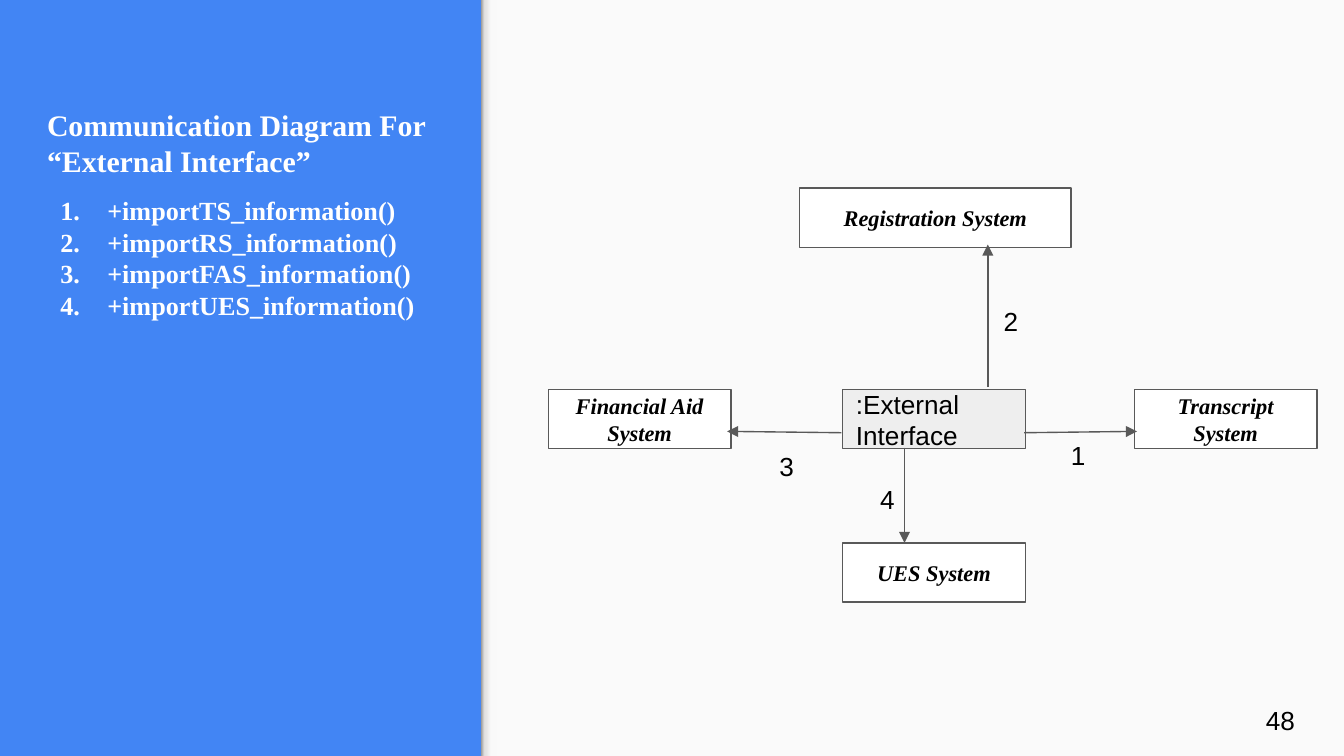
from typing import NamedTuple

from lxml.etree import SubElement
from pptx import Presentation
from pptx.dml.color import RGBColor
from pptx.enum.shapes import MSO_CONNECTOR, MSO_SHAPE
from pptx.enum.text import MSO_ANCHOR, MSO_AUTO_SIZE, PP_ALIGN
from pptx.oxml.ns import qn
from pptx.util import Inches, Pt

BLUE = RGBColor(0x42, 0x85, 0xF4)
PANEL = RGBColor(0xFA, 0xFA, 0xFA)
WHITE = RGBColor(0xFF, 0xFF, 0xFF)
BLACK = RGBColor(0x00, 0x00, 0x00)
LIGHT_GREY = RGBColor(0xEE, 0xEE, 0xEE)
DARK_GREY = RGBColor(0x59, 0x59, 0x59)
EDGE_STOPS = ((0, "999999"), (20, "DEDEDE"), (64, "F9F9F9"), (100, "F9F9F9"))

SERIF, SANS = "Times New Roman", "Arial"

# The grid has 100 columns across the slide and square cells.
COLUMNS, ROWS = 100, 56.25
CELL = Inches(10) / COLUMNS
PANEL_LEFT = 35.8
BOX_WIDTH, BOX_HEIGHT = 13.6, 4.4
MIDDLE_ROW = 29
CENTRE_COLUMN = 62.7


class Area(NamedTuple):
    column: float
    row: float
    width: float
    height: float


class Style(NamedTuple):
    font: str
    size: float
    color: RGBColor = BLACK
    bold: bool = False
    italic: bool = False


class System(NamedTuple):
    name: str
    column: float
    row: float
    width: float = BOX_WIDTH


class Message(NamedTuple):
    number: str
    start: tuple[float, float]
    end: tuple[float, float]
    label: tuple[float, float]


TITLE_STYLE = Style(SERIF, 16, WHITE, bold=True)
LIST_STYLE = Style(SERIF, 14, WHITE, bold=True)
SYSTEM_STYLE = Style(SERIF, 12, bold=True, italic=True)
PLAIN_STYLE = Style(SANS, 14)

OPERATIONS = (
    "+importTS_information()",
    "+importRS_information()",
    "+importFAS_information()",
    "+importUES_information()",
)
SYSTEMS = (
    System("UES System", CENTRE_COLUMN, 40.4),
    System("Transcript System", 84.4, MIDDLE_ROW),
    System("Registration System", 59.5, 14, 20.2),
    System("Financial Aid System", 40.8, MIDDLE_ROW),
)
MESSAGES = (
    Message("1", (76.2, 32.2), (84.6, 32.1), (78.7, 31.7)),
    Message("2", (73.5, 28.8), (73.5, 18.2), (73.7, 21.7)),
    Message("3", (62.6, 32.2), (54.1, 32.1), (57, 32.5)),
    Message("4", (67.3, 33.3), (67.3, 40.4), (64.5, 35)),
)


def grid(*cells: float) -> list[int]:
    return [round(cell * CELL) for cell in cells]


def prepare_frame(shape, anchor=MSO_ANCHOR.TOP):
    frame = shape.text_frame
    frame.word_wrap = True
    frame.auto_size = MSO_AUTO_SIZE.NONE
    frame.vertical_anchor = anchor
    frame.margin_left = frame.margin_right = Inches(0.1)
    frame.margin_top = frame.margin_bottom = Inches(0.1)
    return frame


def add_run(paragraph, text: str, style: Style, align=PP_ALIGN.LEFT) -> None:
    paragraph.alignment = align
    run = paragraph.add_run()
    run.text = text
    font = run.font
    font.name, font.size = style.font, Pt(style.size)
    font.bold, font.italic = style.bold, style.italic
    font.color.rgb = style.color


def add_rectangle(slide, area: Area, fill: RGBColor):
    shape = slide.shapes.add_shape(MSO_SHAPE.RECTANGLE, *grid(*area))
    shape.shadow.inherit = False
    shape.fill.solid()
    shape.fill.fore_color.rgb = fill
    shape.line.fill.background()
    return shape


def add_panel(slide) -> None:
    """Draw the light panel with a shaded strip along its left edge."""
    add_rectangle(slide, Area(PANEL_LEFT, 0, COLUMNS - PANEL_LEFT, ROWS), PANEL)
    strip = add_rectangle(slide, Area(PANEL_LEFT, 0, 1.2, ROWS), PANEL)
    strip.fill.gradient()
    strip.fill.gradient_angle = 0
    stops = strip.element.spPr.find(".//" + qn("a:gsLst"))
    for stop in list(stops):
        stops.remove(stop)
    for position, color in EDGE_STOPS:
        stop = SubElement(stops, qn("a:gs"), pos=str(position * 1000))
        SubElement(stop, qn("a:srgbClr"), val=color)


def add_title(slide, text: str) -> None:
    title = slide.shapes.title
    title.left, title.top, title.width, title.height = grid(2.5, 3.9, 30.7, 10.4)
    frame = prepare_frame(title, MSO_ANCHOR.BOTTOM)
    add_run(frame.paragraphs[0], text, TITLE_STYLE)


def add_text(slide, area: Area, text: str, anchor=MSO_ANCHOR.TOP) -> None:
    box = slide.shapes.add_textbox(*grid(*area))
    add_run(prepare_frame(box, anchor).paragraphs[0], text, PLAIN_STYLE)


def add_numbered_list(slide, area: Area, items: tuple[str, ...]) -> None:
    frame = prepare_frame(slide.shapes.add_textbox(*grid(*area)))
    for index, item in enumerate(items):
        paragraph = frame.add_paragraph() if index else frame.paragraphs[0]
        properties = paragraph._p.get_or_add_pPr()
        properties.set("marL", str(Inches(0.5)))
        properties.set("indent", str(Inches(-0.35)))
        bullet_color = SubElement(properties, qn("a:buClr"))
        SubElement(bullet_color, qn("a:srgbClr"), val=str(WHITE))
        SubElement(properties, qn("a:buFont"), typeface=SERIF)
        SubElement(properties, qn("a:buAutoNum"), type="arabicPeriod")
        last = index == len(items) - 1
        add_run(paragraph, item, LIST_STYLE, PP_ALIGN.LEFT if last else PP_ALIGN.JUSTIFY)


def add_system(slide, system: System, style: Style = SYSTEM_STYLE,
               fill: RGBColor = WHITE, align=PP_ALIGN.CENTER) -> None:
    area = Area(system.column, system.row, system.width, BOX_HEIGHT)
    box = add_rectangle(slide, area, fill)
    box.line.color.rgb = DARK_GREY
    box.line.width = Pt(0.75)
    frame = prepare_frame(box, MSO_ANCHOR.MIDDLE)
    add_run(frame.paragraphs[0], system.name, style, align)


def add_message(slide, message: Message) -> None:
    arrow = slide.shapes.add_connector(
        MSO_CONNECTOR.STRAIGHT, *grid(*message.start, *message.end))
    arrow.line.color.rgb = DARK_GREY
    arrow.line.width = Pt(0.75)
    SubElement(arrow.line._get_or_add_ln(), qn("a:tailEnd"),
               type="triangle", w="med", len="med")
    SubElement(arrow._element.spPr, qn("a:effectLst"))
    add_text(slide, Area(*message.label, 4, 2.2), message.number)


def main() -> None:
    presentation = Presentation()
    presentation.slide_width, presentation.slide_height = grid(COLUMNS, ROWS)
    slide = presentation.slides.add_slide(presentation.slide_layouts[5])
    slide.background.fill.solid()
    slide.background.fill.fore_color.rgb = BLUE

    add_panel(slide)
    add_title(slide, "Communication Diagram For “External Interface”")
    add_numbered_list(slide, Area(2, 13.5, 31.8, 34.6), OPERATIONS)
    for system in SYSTEMS:
        add_system(slide, system)
    add_system(slide, System(":External Interface", CENTRE_COLUMN, MIDDLE_ROW),
               PLAIN_STYLE, LIGHT_GREY, PP_ALIGN.LEFT)
    for message in MESSAGES:
        add_message(slide, message)
    add_text(slide, Area(93.2, 51.4, 6, 4.3), "48", MSO_ANCHOR.MIDDLE)
    presentation.save("out.pptx")


if __name__ == "__main__":
    main()
